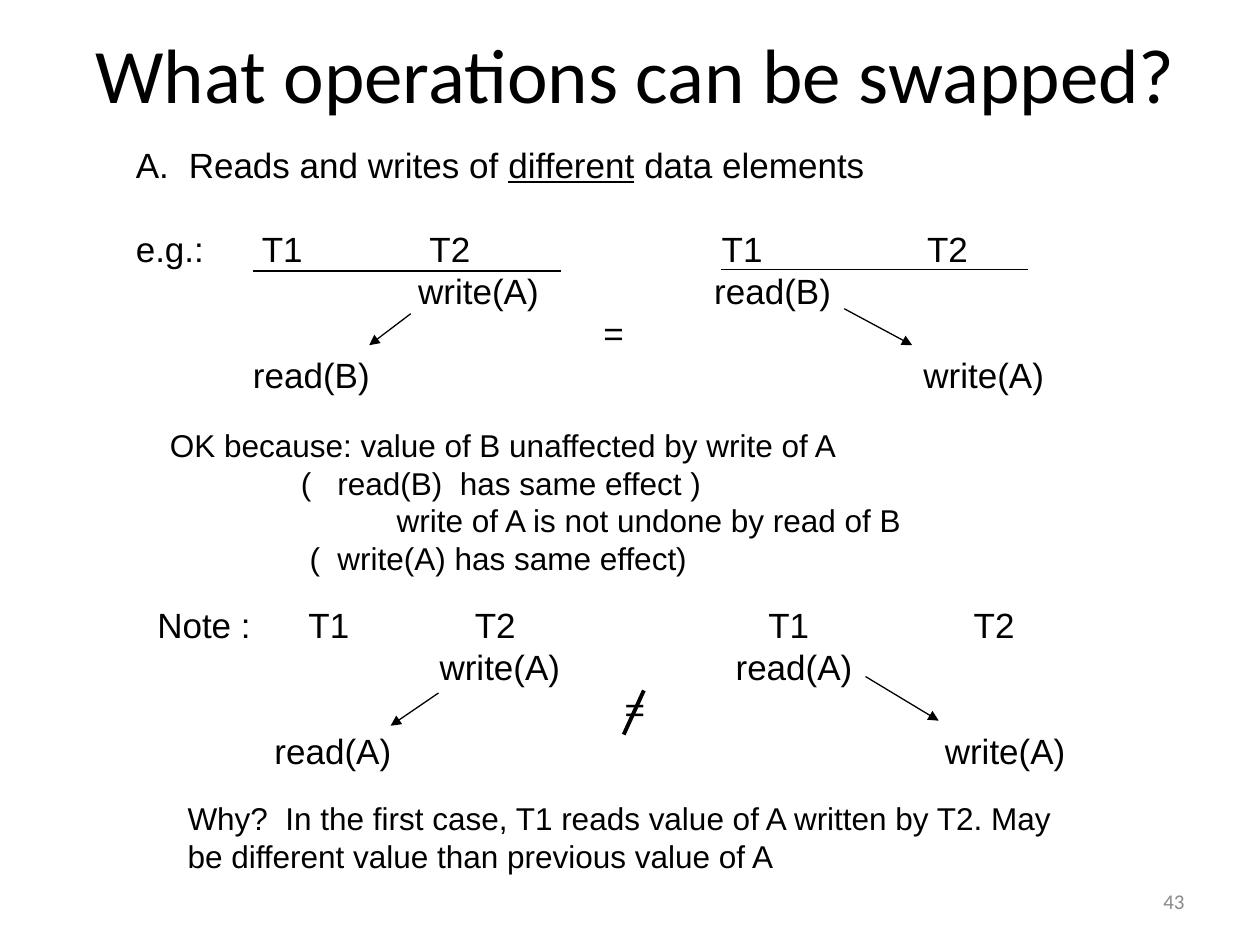
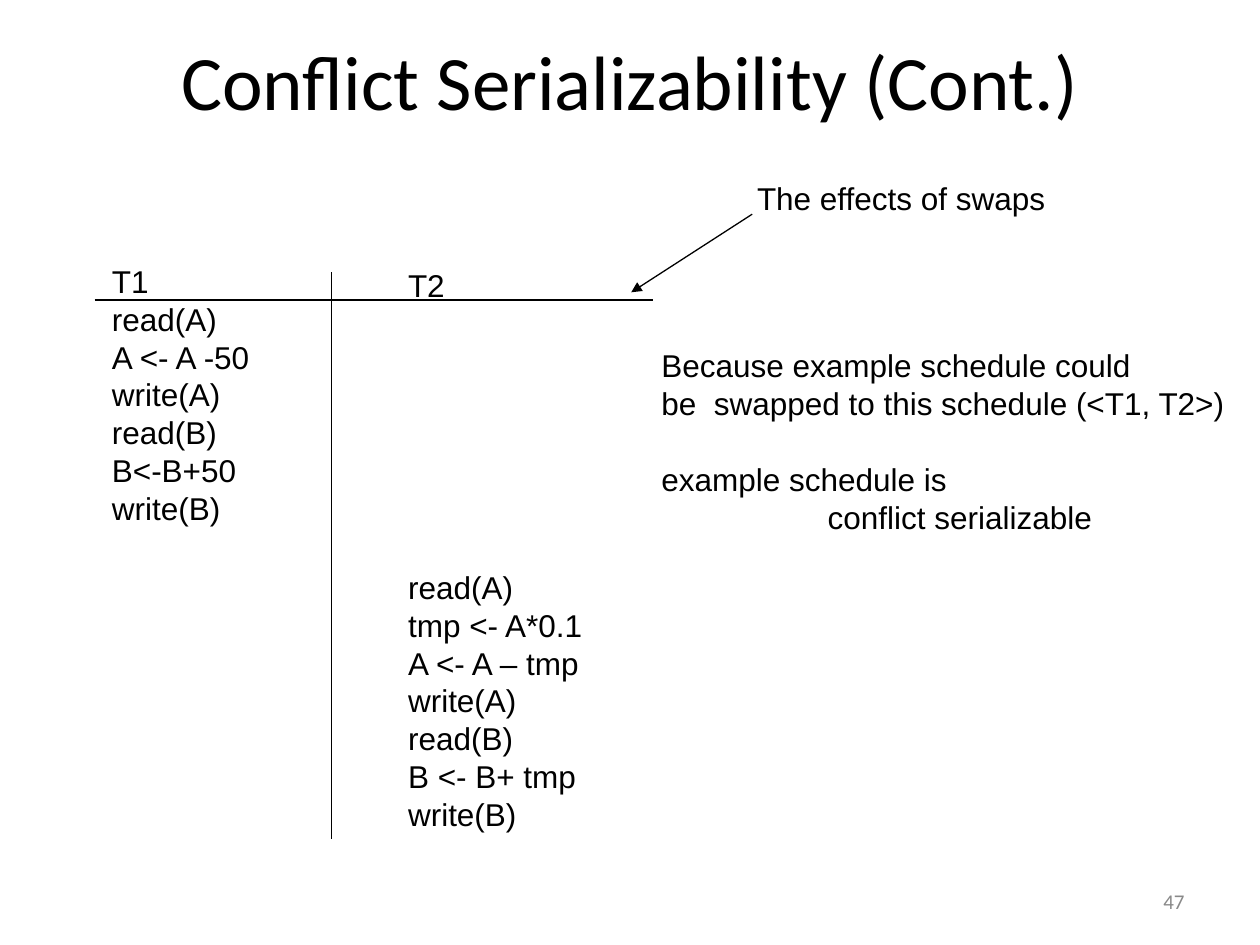
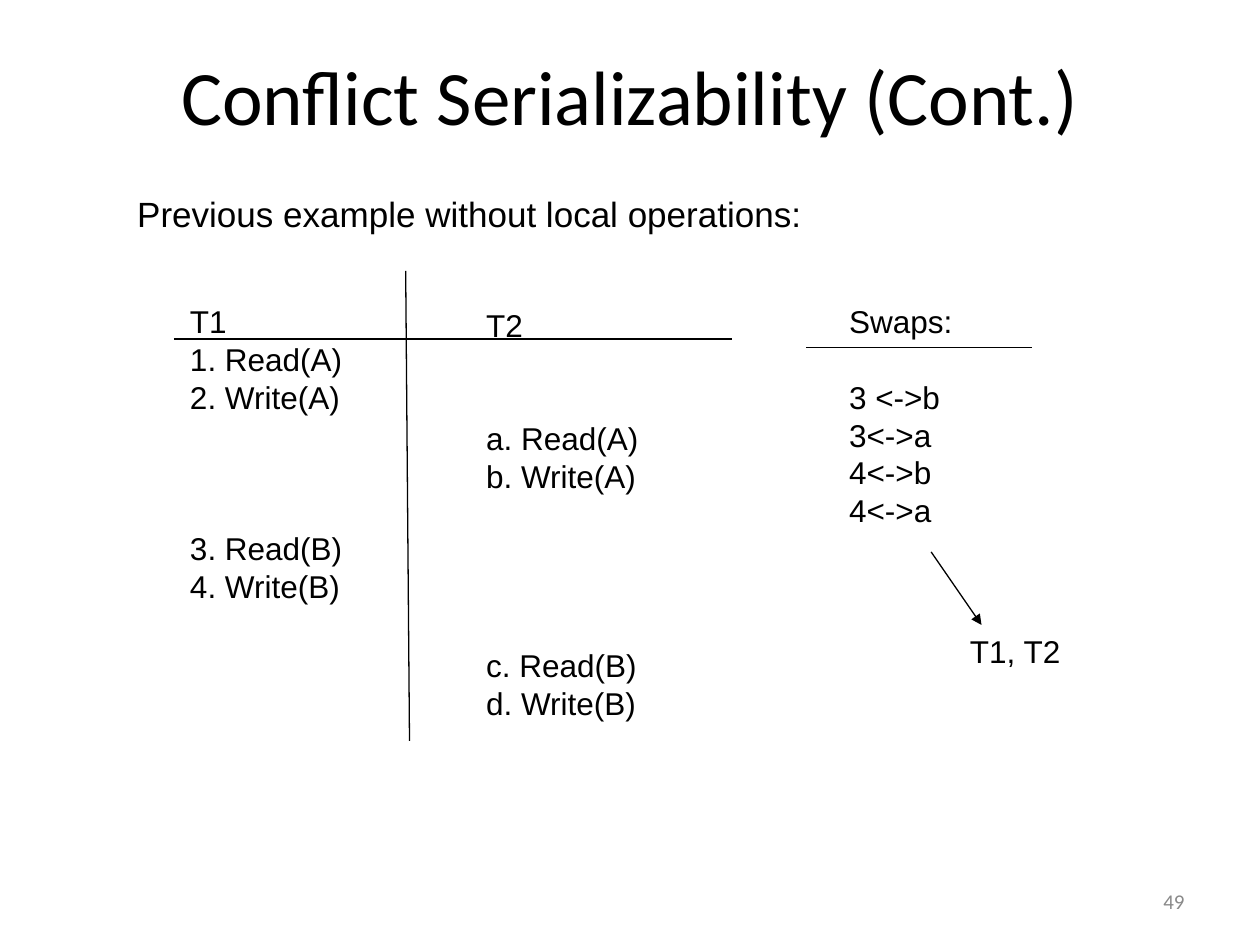
from lxml.etree import SubElement
from pptx import Presentation
from pptx.dml.color import RGBColor
from pptx.enum.shapes import MSO_CONNECTOR
from pptx.enum.text import MSO_ANCHOR, PP_ALIGN
from pptx.oxml.ns import qn
from pptx.util import Inches, Pt

BLACK, GREY = "000000", "898989"
BODY_FONT, TITLE_FONT = "Arial", "Calibri"
LEADING = 1.2          # line pitch as a share of the text size
RULE, STROKE = 0.75, 2.25
NUMBER_BOX = (7.17, 6.95, 2.33, 0.4)


def swap_rows(item):
    """Rows of a swap example: T2 writes A while T1 reads the given item."""
    return [
        [(2.24, "write(A)"), (4.59, f"read({item})")],
        [(3.71, "=")],
        [(0.93, f"read({item})"), (6.25, "write(A)")],
    ]


# Content. Each text: box (left, top, width, height), size, rows.
# A row is a string, a list of (tab position, text) cells, or a number of
# lines to skip. Underscores enclose underlined words.
# Each line: x1, y1, x2, y2; arrows point at the second end.
SLIDES = [
    {
        "title": "What operations can be swapped?",
        "title_box": (0.63, 0.08, 8.83, 1),
        "number": "43",
        "texts": [
            ((0.98, 1.09, 7.5, 2.44), 20, [
                [(0, "A."), (0.42, "Reads and writes of _different_ data elements")],
                1,
                [(0, "e.g.:"), (1, "T1"), (2.33, "T2"), (4.65, "T1"), (6.28, "T2")],
                *swap_rows("B"),
            ]),
            ((1.25, 3.33, 6.1, 1.3), 18, [
                "OK because: value of B unaffected by write of A",
                [(1.04, "("), (1.33, "read(B)  has same effect )")],
                [(1.8, "write of A is not undone by read of B")],
                [(1.11, "("), (1.33, "write(A) has same effect)")],
            ]),
            ((1.15, 4.74, 7.5, 1.77), 20, [
                [(0, "Note :"), (1.2, "T1"), (2.52, "T2"), (4.85, "T1"), (6.48, "T2")],
                *swap_rows("A"),
            ]),
            ((1.39, 6.29, 7.2, 0.7), 18, [
                "Why?  In the first case, T1 reads value of A written by T2. "
                "May be different value than previous value of A",
            ]),
        ],
        "rules": [(2.01, 2.15, 4.45, 2.15), (5.72, 2.14, 8.16, 2.14)],
        "strokes": [(5.11, 5.48, 4.95, 5.83)],
        "arrows": [
            (3.26, 2.49, 2.93, 2.74), (6.7, 2.45, 7.24, 2.74),
            (3.48, 5.5, 3.1, 5.76), (6.87, 5.37, 7.45, 5.72),
        ],
    },
    {
        "title": "Conflict Serializability (Cont.)",
        "title_box": (0.5, 0.1, 9, 1.07),
        "number": "47",
        "texts": [
            ((0.79, 2.03, 1.4, 2.2), 18, [
                "T1", "read(A)", "A <- A -50", "write(A)",
                "read(B)", "B<-B+50", "write(B)",
            ]),
            ((3.14, 2.06, 1.65, 4.6), 18, [
                "T2", 7, "read(A)", "tmp <- A*0.1", "A <- A – tmp", "write(A)",
                "read(B)", "B <- B+ tmp", "write(B)",
            ]),
            ((5.91, 1.37, 2.55, 0.4), 18, ["The effects of swaps"]),
            ((5.15, 2.7, 4.75, 1.6), 18, [
                "Because example schedule could",
                "be  swapped to this schedule (<T1, T2>)",
                1,
                "example schedule is",
                [(1.32, "conflict serializable")],
            ]),
        ],
        "rules": [(0.75, 2.38, 5.18, 2.38), (2.63, 2.16, 2.63, 6.66)],
        "arrows": [(5.97, 1.7, 5.01, 2.32)],
    },
    {
        "title": "Conflict Serializability (Cont.)",
        "title_box": (0.5, 0.17, 9, 1.17),
        "number": "49",
        "texts": [
            ((0.99, 1.48, 5.55, 0.44), 20,
             ["Previous example without local operations:"]),
            ((1.41, 2.35, 1.5, 2.5), 18, [
                "T1", "1. Read(A)", "2. Write(A)", 3, "3. Read(B)", "4. Write(B)",
            ]),
            ((3.76, 2.38, 1.5, 3.4), 18, [
                "T2", 2, "a. Read(A)", "b. Write(A)", 4, "c. Read(B)", "d. Write(B)",
            ]),
            ((6.64, 2.35, 1.15, 2.2), 18,
             ["Swaps:", 1, "3 <->b", "3<->a", "4<->b", "4<->a"]),
            ((7.6, 4.97, 1, 0.4), 18, ["T1, T2"]),
        ],
        "rules": [
            (1.38, 2.69, 5.81, 2.69), (3.22, 2.15, 3.25, 5.88),
            (6.4, 2.76, 8.19, 2.76),
        ],
        "arrows": [(7.39, 4.38, 7.79, 4.96)],
    },
]


def color(value):
    return RGBColor.from_string(value)


def style(font, size, face=BODY_FONT, ink=BLACK):
    font.size, font.name = Pt(size), face
    font.color.rgb = color(ink)


def place(shape, box):
    shape.left, shape.top, shape.width, shape.height = map(Inches, box)


def add_box(slide, box):
    frame = slide.shapes.add_textbox(*map(Inches, box)).text_frame
    frame.word_wrap = True
    return frame


def write_row(paragraph, row, size):
    """Fill one paragraph, with a tab stop for every cell off the left edge."""
    cells = [(0, row)] if isinstance(row, str) else row
    stops = [position for position, _ in cells if position]
    if stops:
        tabs = SubElement(paragraph._p.get_or_add_pPr(), qn("a:tabLst"))
        for stop in stops:
            SubElement(tabs, qn("a:tab"), pos=str(Inches(stop)), algn="l")
    line = "".join(("\t" if position else "") + text for position, text in cells)
    for index, part in enumerate(line.split("_")):
        run = paragraph.add_run()
        run.text = part
        style(run.font, size)
        if index % 2:
            run.font.underline = True


def add_text(slide, box, size, rows):
    frame = add_box(slide, box)
    pitch, skipped, first = size * LEADING, 0, True
    for row in rows:
        if isinstance(row, int):
            skipped = row
            continue
        paragraph = frame.paragraphs[0] if first else frame.add_paragraph()
        write_row(paragraph, row, size)
        paragraph.line_spacing = Pt(pitch)
        if skipped:
            paragraph.space_before = Pt(skipped * pitch)
        skipped, first = 0, False


def add_line(slide, ends, width=RULE, arrow=False):
    line = slide.shapes.add_connector(MSO_CONNECTOR.STRAIGHT, *map(Inches, ends))
    line.line.color.rgb = color(BLACK)
    line.line.width = Pt(width)
    if arrow:
        SubElement(line.line._get_or_add_ln(), qn("a:tailEnd"), type="triangle")
    SubElement(line._element.spPr, qn("a:effectLst"))


def add_title(slide, text, box):
    title = slide.shapes.title
    place(title, box)
    frame = title.text_frame
    frame.text = text
    frame.vertical_anchor = MSO_ANCHOR.MIDDLE
    frame.paragraphs[0].alignment = PP_ALIGN.CENTER
    style(frame.paragraphs[0].runs[0].font, 44, TITLE_FONT)


def add_number(slide, number):
    frame = add_box(slide, NUMBER_BOX)
    frame.text = number
    frame.vertical_anchor = MSO_ANCHOR.MIDDLE
    frame.paragraphs[0].alignment = PP_ALIGN.RIGHT
    style(frame.paragraphs[0].runs[0].font, 12, TITLE_FONT, GREY)


def main():
    deck = Presentation()
    deck.slide_width, deck.slide_height = Inches(10), Inches(7.5)
    title_only = deck.slide_layouts[5]
    for content in SLIDES:
        slide = deck.slides.add_slide(title_only)
        add_title(slide, content["title"], content["title_box"])
        for box, size, rows in content["texts"]:
            add_text(slide, box, size, rows)
        for ends in content["rules"]:
            add_line(slide, ends)
        for ends in content.get("strokes", []):
            add_line(slide, ends, STROKE)
        for ends in content["arrows"]:
            add_line(slide, ends, arrow=True)
        add_number(slide, content["number"])
    deck.save("out.pptx")


if __name__ == "__main__":
    main()
